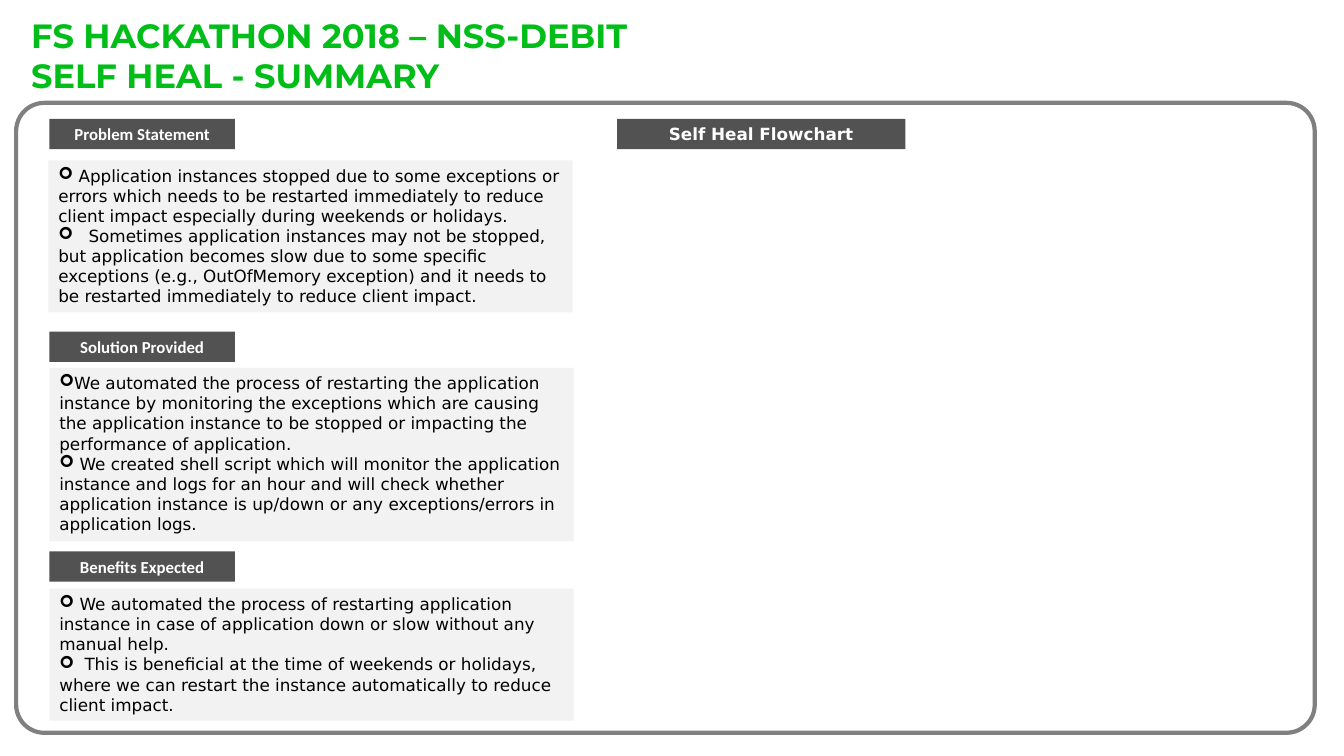
from dataclasses import dataclass

from lxml import etree
from pptx import Presentation
from pptx.dml.color import RGBColor
from pptx.enum.shapes import MSO_SHAPE
from pptx.enum.text import MSO_ANCHOR, PP_ALIGN
from pptx.oxml.ns import qn
from pptx.util import Pt

RECT = MSO_SHAPE.RECTANGLE
ROUND = MSO_SHAPE.ROUNDED_RECTANGLE
TOP, MIDDLE = MSO_ANCHOR.TOP, MSO_ANCHOR.MIDDLE
LEFT, CENTER = PP_ALIGN.LEFT, PP_ALIGN.CENTER
SCALE = 9144


@dataclass(frozen=True)
class Theme:
    green: str = "00BE17"
    white: str = "FFFFFF"
    black: str = "000000"
    dark: str = "525252"
    pale: str = "F2F2F2"
    edge: str = "808080"
    head: str = "Montserrat"
    label: str = "Calibri"
    body: str = "DejaVu Sans"
    big: int = 24
    small: int = 12
    rule: int = 3


def px(size):
    return size * SCALE


class Board:
    def __init__(self, slide, theme):
        self.slide = slide
        self.theme = theme

    def box(self, kind, area, fill, line=None):
        shape = self.slide.shapes.add_shape(kind, *map(px, area))
        shape.shadow.inherit = False
        shape.fill.solid()
        shape.fill.fore_color.rgb = RGBColor.from_string(fill)
        if line:
            shape.line.color.rgb = RGBColor.from_string(line)
            shape.line.width = Pt(self.theme.rule)
        else:
            shape.line.fill.background()
        return shape

    def text(self, frame, lines, font, size, color, bold=False, align=LEFT, anchor=TOP):
        frame.word_wrap = True
        frame.vertical_anchor = anchor
        for index, line in enumerate(lines):
            para = frame.paragraphs[0] if index == 0 else frame.add_paragraph()
            para.alignment = align
            run = para.add_run()
            run.text = line
            run.font.name = font
            run.font.size = Pt(size)
            run.font.bold = bold
            run.font.color.rgb = RGBColor.from_string(color)

    def frame(self, area, curve):
        shape = self.box(ROUND, area, self.theme.white, self.theme.edge)
        shape.adjustments[0] = curve / min(area[2:])

    def title(self, area, lines):
        style = self.theme
        shape = self.slide.shapes.add_textbox(*map(px, area))
        self.text(shape.text_frame, lines, style.head, style.big, style.green, True)

    def tag(self, area, line, font):
        style = self.theme
        shape = self.box(RECT, area, style.dark)
        self.text(shape.text_frame, [line], font, style.small, style.white, True, CENTER, MIDDLE)

    def panel(self, area, items):
        style = self.theme
        shape = self.box(RECT, area, style.pale)
        lines = [line for line, stop in items]
        self.text(shape.text_frame, lines, style.body, style.small, style.black)
        for para, (line, stop) in zip(shape.text_frame.paragraphs, items):
            self.bullet(para, stop)

    def bullet(self, para, stop):
        props = para._p.get_or_add_pPr()
        props.set("marL", "0")
        props.set("indent", "0")
        etree.SubElement(props, qn("a:buFont"), typeface="Wingdings")
        etree.SubElement(props, qn("a:buChar"), char="➢")
        if stop:
            tabs = etree.SubElement(props, qn("a:tabLst"))
            etree.SubElement(tabs, qn("a:tab"), pos=str(px(stop)), algn="l")


PARTS = [
    ("Problem Statement", 118, (48, 159, 520, 151), [
        (" Application instances stopped due to some exceptions or errors which needs to be "
         "restarted immediately to reduce client impact especially during weekends or holidays.", 0),
        ("\tSometimes application instances may not be stopped, but application becomes slow "
         "due to some specific exceptions (e.g., OutOfMemory exception) and it needs to be "
         "restarted immediately to reduce client impact.", 30),
    ]),
    ("Solution Provided", 329, (49, 365, 520, 172), [
        ("We automated the process of restarting the application instance by monitoring the "
         "exceptions which are causing the application instance to be stopped or impacting the "
         "performance of application.", 0),
        (" We created shell script which will monitor the application instance and logs for an "
         "hour and will check whether application instance is up/down or any exceptions/errors "
         "in application logs.", 0),
    ]),
    ("Benefits Expected", 547, (49, 584, 520, 131), [
        (" We automated the process of restarting application instance in case of application "
         "down or slow without any manual help.", 0),
        ("\tThis is beneficial at the time of weekends or holidays, where we can restart the "
         "instance automatically to reduce client impact.", 25),
    ]),
]


def main():
    deck = Presentation()
    deck.slide_width, deck.slide_height = px(1333), px(750)
    theme = Theme()
    board = Board(deck.slides.add_slide(deck.slide_layouts[6]), theme)
    board.frame((16, 102, 1288, 625), 28)
    board.title((21, 10, 1222, 114), ["FS HACKATHON 2018 – NSS-DEBIT", "SELF HEAL - SUMMARY"])
    for name, top, area, items in PARTS:
        board.tag((49, top, 184, 30), name, theme.label)
        board.panel(area, items)
    board.tag((612, 118, 286, 30), "Self Heal Flowchart", theme.body)
    deck.save("out.pptx")


if __name__ == "__main__":
    main()
